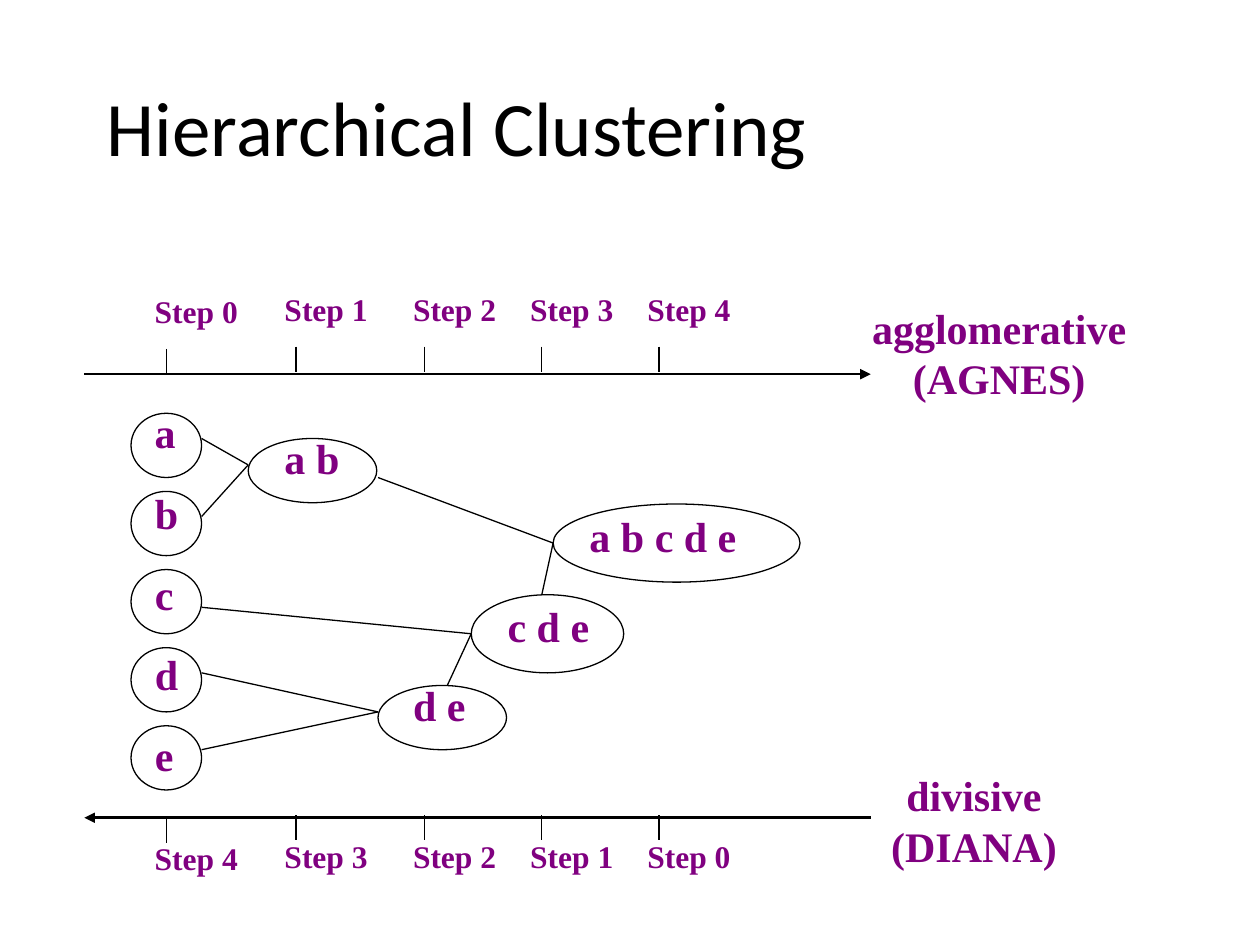
from lxml.etree import SubElement
from pptx import Presentation
from pptx.dml.color import RGBColor
from pptx.enum.shapes import MSO_CONNECTOR as Connector, MSO_SHAPE as Preset
from pptx.enum.text import PP_ALIGN as Align
from pptx.oxml.ns import qn
from pptx.util import Inches, Pt

THEME = {
    "ink": RGBColor(0, 0, 0),
    "label": RGBColor(0x80, 0, 0x80),
    "title_font": "Calibri",
    "label_font": "Times New Roman",
    "title_size": 44,
    "cluster_size": 24,
    "step_size": 18,
    "thin": 0.75,
    "thick": 1.5,
}

TITLE = "Hierarchical Clustering"
STEPS = ["Step 0", "Step 1", "Step 2", "Step 3", "Step 4"]
STEP_LEFTS = [1.13, 2.16, 3.18, 4.11, 5.04]
AXES = [
    {"y": 2.97, "tick_top": 2.75, "label_top": 2.25, "steps": STEPS, "arrow": "tailEnd"},
    {"y": 6.49, "tick_top": 6.47, "label_top": 6.59, "steps": STEPS[::-1], "arrow": "headEnd"},
]
METHODS = [
    (["agglomerative", "(AGNES)"], (6.82, 2.35, 2.22, 0.9)),
    (["divisive", "(DIANA)"], (6.97, 6.06, 1.52, 0.9)),
]
ITEMS = [("a", 0.37), ("b", 0.39), ("c", 0.35), ("d", 0.39), ("e", 0.35)]
MERGED = [
    ("a b", (2.16, 3.38, 0.64, 0.5), (1.97, 3.48, 1.02, 0.51)),
    ("d e", (3.18, 5.34, 0.62, 0.5), (3, 5.44, 1.02, 0.51)),
    ("c d e", (3.93, 4.72, 0.85, 0.5), (3.74, 4.72, 1.21, 0.62)),
    ("a b c d e", (4.58, 4, 1.37, 0.5), (4.39, 4, 1.96, 0.62)),
]
LINKS = [
    ((1.6, 3.48), (1.97, 3.69)),
    ((1.6, 4.1), (1.97, 3.69)),
    ((1.6, 5.34), (3, 5.65)),
    ((1.6, 5.95), (3, 5.65)),
    ((1.6, 4.82), (3.74, 5.03)),
    ((3.55, 5.44), (3.74, 5.03)),
    ((3, 3.79), (4.39, 4.31)),
    ((4.3, 4.72), (4.39, 4.31)),
]

presentation = Presentation()
presentation.slide_width, presentation.slide_height = Inches(10), Inches(7.5)
slide = presentation.slides.add_slide(presentation.slide_layouts[6])


def add_text(lines, box, size, font="label_font", color="label", bold=True, wrap=True, align=Align.LEFT):
    frame = slide.shapes.add_textbox(*map(Inches, box)).text_frame
    frame.word_wrap = wrap
    for index, line in enumerate(lines):
        paragraph = frame.add_paragraph() if index else frame.paragraphs[0]
        paragraph.alignment = align
        run = paragraph.add_run()
        run.text = line
        run.font.name = THEME[font]
        run.font.size = Pt(THEME[size])
        run.font.bold = bold
        run.font.color.rgb = THEME[color]


def add_line(start, end, width="thin", arrow=None):
    line = slide.shapes.add_connector(Connector.STRAIGHT, *map(Inches, start + end))
    line.line.color.rgb = THEME["ink"]
    line.line.width = Pt(THEME[width])
    if arrow:
        SubElement(line.line._get_or_add_ln(), qn(f"a:{arrow}"), type="triangle")
    SubElement(line._element.spPr, qn("a:effectLst"))


def add_cluster(label, label_box, oval_box):
    add_text([label], label_box, "cluster_size", wrap=False)
    oval = slide.shapes.add_shape(Preset.OVAL, *map(Inches, oval_box))
    oval.shadow.inherit = False
    oval.fill.background()
    oval.line.color.rgb = THEME["ink"]
    oval.line.width = Pt(THEME["thin"])


add_text([TITLE], (0.75, 0.58, 8.25, 0.83), "title_size", "title_font", "ink", bold=False)

for axis in AXES:
    add_line((0.67, axis["y"]), (6.91, axis["y"]), "thick", axis["arrow"])
    for index, (step, left) in enumerate(zip(axis["steps"], STEP_LEFTS)):
        drop = 0 if index else 0.02
        tick_x, tick_top = left + 0.19, axis["tick_top"] + drop
        add_line((tick_x, tick_top), (tick_x, tick_top + 0.2))
        add_text([step], (left, axis["label_top"] + drop, 0.93, 0.4), "step_size")

for row, (item, width) in enumerate(ITEMS):
    add_cluster(item, (1.13, 3.18 + 0.64 * row, width, 0.5), (1.04, 3.28 + 0.62 * row, 0.56, 0.51))

for cluster in MERGED:
    add_cluster(*cluster)

for start, end in LINKS:
    add_line(start, end)

for lines, box in METHODS:
    add_text(lines, box, "cluster_size", wrap=False, align=Align.CENTER)

presentation.save("out.pptx")
